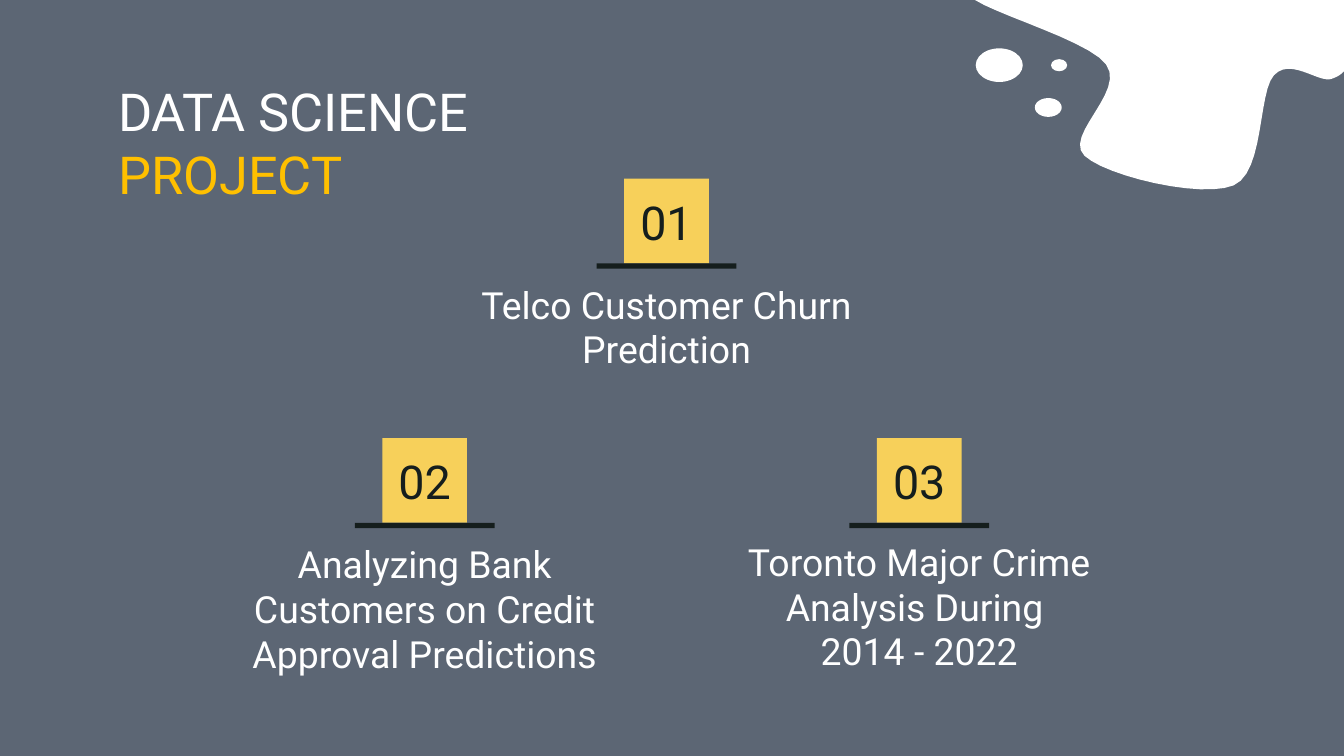
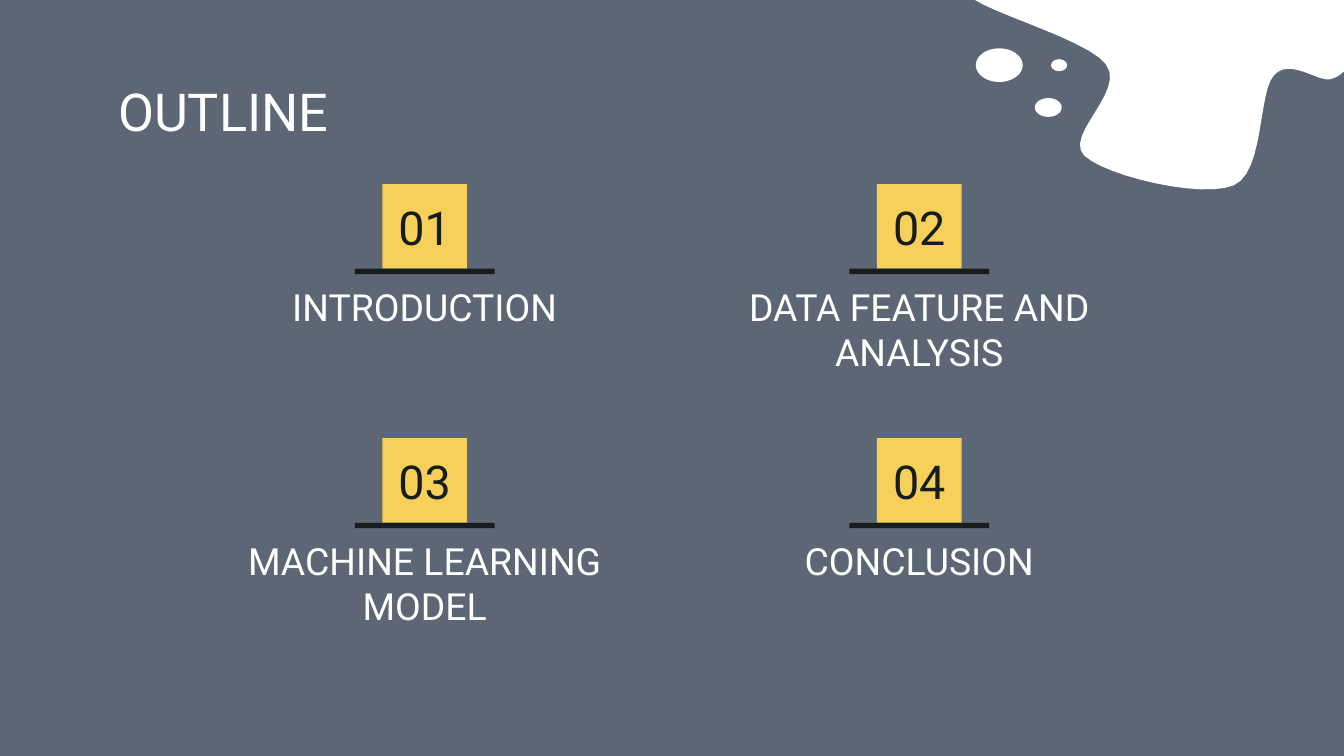
from pptx import Presentation
from pptx.dml.color import RGBColor
from pptx.enum.shapes import MSO_SHAPE
from pptx.enum.text import MSO_ANCHOR, MSO_AUTO_SIZE, PP_ALIGN
from pptx.util import Inches, Pt

RECT, OVAL = MSO_SHAPE.RECTANGLE, MSO_SHAPE.OVAL
TOP, MIDDLE = MSO_ANCHOR.TOP, MSO_ANCHOR.MIDDLE
LEFT, CENTER = PP_ALIGN.LEFT, PP_ALIGN.CENTER
FIXED = MSO_AUTO_SIZE.NONE

COLORS = {"slate": "5C6674", "white": "FFFFFF", "gold": "FFC000",
          "tile": "F7D05A", "ink": "151E1D"}
FONT = "Roboto"
WIDTH = Inches(10)
HEIGHT = WIDTH * 9 // 16
COL, ROW = WIDTH / 100, HEIGHT / 56.25
STEPS = 12

HEAD = (7.8, 4.9, 45, 6.3)
CORNER = (72, 0, 28, 14)
LEFT_X, MID_X, RIGHT_X = 16, 34, 52.8
ITEM_W, ITEM_H = 31.2, 18
LOW_Y = 32.6

START = (0.1, -0.6)
CURVES = [
    ((-0.5, 0.4), (8.9, 2.8), (10.3, 4.8)),
    ((11.8, 6.8), (7.1, 10.1), (8.7, 11.6)),
    ((10.3, 13.1), (17.4, 14.8), (19.8, 13.8)),
    ((22.1, 12.8), (21.6, 6.9), (22.8, 5.6)),
    ((24, 4.3), (26, 6.1), (27, 5.9)),
    ((28, 5.6), (28.4, 5), (28.6, 3.9)),
    ((28.8, 2.8), (30.7, 0.1), (28.3, -0.7)),
    ((25.9, -1.6), (18.9, -1.2), (14.2, -1.1)),
    ((9.5, -1.1), (0.7, -1.6), START),
]
DROPS = [(0.6, 3.6, 3.5, 2.5), (5, 7.3, 2, 1.4), (6.2, 4.4, 1.2, 0.9)]


def color(name):
    return RGBColor.from_string(COLORS[name])


def area(x, y, w, h):
    return round(x * COL), round(y * ROW), round(w * COL), round(h * ROW)


def paint(shape, name):
    shape.shadow.inherit = False
    shape.fill.solid()
    shape.fill.fore_color.rgb = color(name)
    shape.line.fill.background()


def block(slide, kind, box, name):
    paint(slide.shapes.add_shape(kind, *area(*box)), name)


def write(shape, runs, size, align, anchor):
    frame = shape.text_frame
    frame.word_wrap = True
    frame.auto_size = FIXED
    frame.vertical_anchor = anchor
    frame.margin_left = frame.margin_right = Inches(0.1)
    frame.margin_top = frame.margin_bottom = Inches(0.1)
    para = frame.paragraphs[0]
    para.alignment = align
    for text, name in runs:
        for i, line in enumerate(text.split("\n")):
            if i:
                para.add_line_break()
            run = para.add_run()
            run.text = line
            run.font.name = FONT
            run.font.size = Pt(size)
            run.font.color.rgb = color(name)


def label(slide, box, text, name, size, anchor):
    shape = slide.shapes.add_textbox(*area(*box))
    write(shape, [(text, name)], size, CENTER, anchor)


def trace(start, curves):
    last = start
    for one, two, end in curves:
        for step in range(1, STEPS + 1):
            t = step / STEPS
            u = 1 - t
            yield tuple(u**3 * a + 3 * u * u * t * b + 3 * u * t * t * c + t**3 * d
                        for a, b, c, d in zip(last, one, two, end))
        last = end


def splash(slide, box):
    x, y = box[:2]

    def spot(point):
        return round((x + point[0]) * COL), round((y + point[1]) * ROW)

    pen = slide.shapes.build_freeform(*spot(START))
    pen.add_line_segments([spot(p) for p in trace(START, CURVES)], close=True)
    paint(pen.convert_to_shape(), "white")
    for dx, dy, w, h in DROPS:
        block(slide, OVAL, (x + dx, y + dy, w, h), "white")


def header(slide, box, runs):
    title = slide.shapes.title
    title.left, title.top, title.width, title.height = area(*box)
    write(title, runs, 28, LEFT, TOP)


def item(slide, box, number, text, drop):
    x, y, w, _ = box

    def part(dy, width, height):
        return x + (w - width) / 2, y + dy, width, height

    block(slide, RECT, part(0, 6.3, 6.3), "tile")
    block(slide, RECT, part(6.3, 10.4, 0.4), "ink")
    label(slide, part(0.1, 9.6, 6.8), number, "ink", 25, TOP)
    label(slide, part(drop, w, 5.8), text, "white", 20, MIDDLE)


def page(deck, runs, items):
    slide = deck.slides.add_slide(deck.slide_layouts[5])
    fill = slide.background.fill
    fill.solid()
    fill.fore_color.rgb = color("slate")
    splash(slide, CORNER)
    header(slide, HEAD, runs)
    for i, (x, y, text, drop) in enumerate(items, 1):
        item(slide, (x, y, ITEM_W, ITEM_H), f"{i:02}", text, drop)


def main():
    deck = Presentation()
    deck.slide_width, deck.slide_height = WIDTH, HEIGHT
    page(deck, [("DATA SCIENCE ", "white"), ("PROJECT", "gold")], [
        (MID_X, 13.3, "Telco Customer Churn Prediction", 8.1),
        (LEFT_X, LOW_Y, "Analyzing Bank Customers on Credit Approval Predictions", 9.8),
        (RIGHT_X, LOW_Y, "Toronto Major Crime Analysis During \n2014 - 2022", 9.6),
    ])
    page(deck, [("OUTLINE", "white")], [
        (LEFT_X, 13.7, "INTRODUCTION", 6.2),
        (RIGHT_X, 13.7, "DATA FEATURE AND ANALYSIS", 7.9),
        (LEFT_X, LOW_Y, "MACHINE LEARNING MODEL", 7.9),
        (RIGHT_X, LOW_Y, "CONCLUSION", 6.2),
    ])
    deck.save("out.pptx")


if __name__ == "__main__":
    main()
